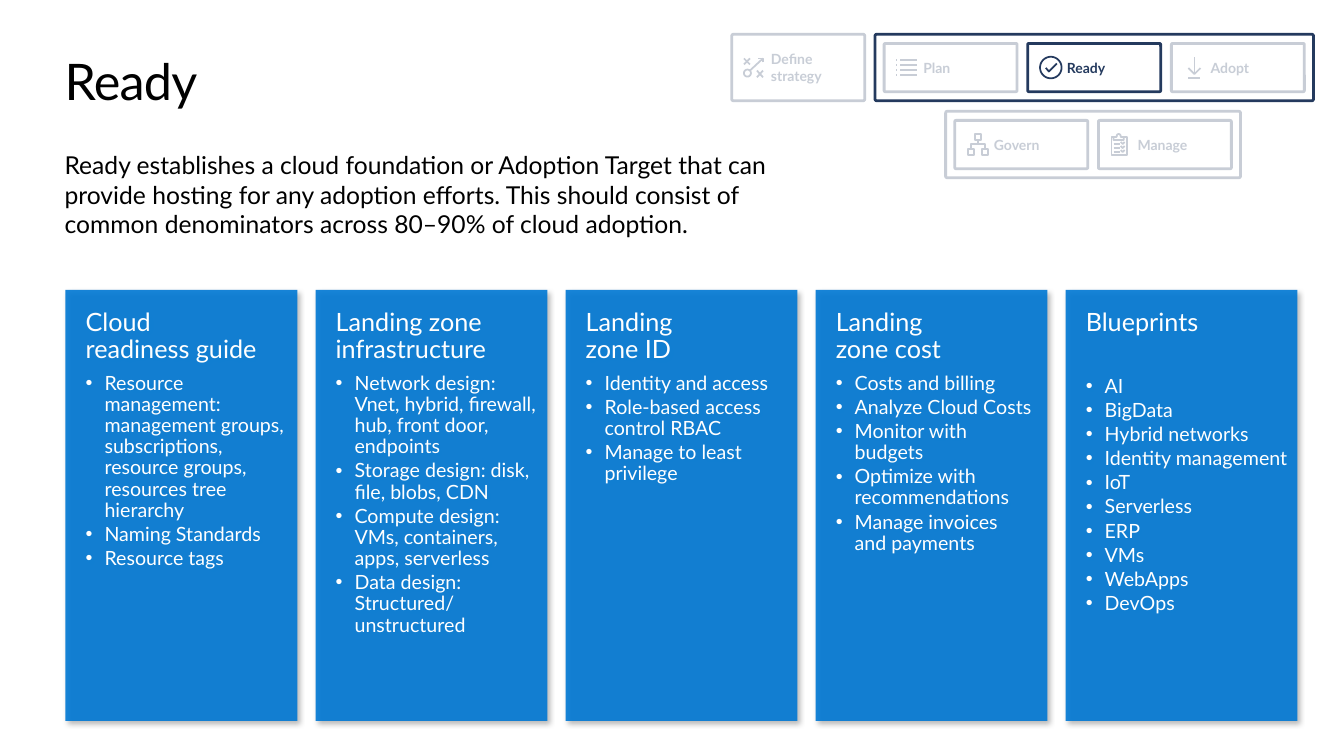
from dataclasses import dataclass
from math import cos, pi, sin

from lxml.etree import SubElement
from pptx import Presentation
from pptx.dml.color import RGBColor as Rgb
from pptx.enum.shapes import MSO_SHAPE as Preset
from pptx.enum.text import MSO_ANCHOR as Anchor, MSO_AUTO_SIZE as AutoSize, PP_ALIGN as Align
from pptx.oxml.ns import qn
from pptx.util import Pt


@dataclass(frozen=True)
class Theme:
    """Colours, font and type sizes of the slide."""
    font: str = "Lato"
    ink: str = "000000"
    paper: str = "FFFFFF"
    navy: str = "243A5E"
    blue: str = "0078D4"
    title: float = 36
    intro: float = 17.6
    heading: float = 18
    item: float = 14
    stage: float = 10


@dataclass(frozen=True)
class Box:
    """A rectangle in points."""
    left: float
    top: float
    width: float
    height: float

    def inset(self, by):
        """Return the box shrunk on every side."""
        return Box(self.left + by, self.top + by, self.width - 2 * by, self.height - 2 * by)

    def lengths(self):
        """Return the four lengths for a shape call."""
        return Pt(self.left), Pt(self.top), Pt(self.width), Pt(self.height)


THEME = Theme()
TILE_WIDTH, TILE_GAP, FRAME_PAD, FRAME_HEIGHT = 95, 7.6, 6.5, 47.5


def circle(x, y, radius):
    """Return the points of a closed circle."""
    return [(x + radius * cos(i * pi / 24), y + radius * sin(i * pi / 24)) for i in range(49)]


def square(left, top, right, bottom):
    """Return the points of a closed rectangle."""
    return [(left, top), (right, top), (right, bottom), (left, bottom), (left, top)]


ICONS = {
    "Define strategy": [
        [(-7.8, -6.5), (-3.5, -2.2)], [(-3.5, -6.5), (-7.8, -2.2)],
        [(1.5, 2.2), (5.8, 7)], [(5.8, 2.2), (1.5, 7)],
        circle(-5.3, 4, 2.5), [(-3.5, 2.2), (5.8, -6.5)],
        [(5.8, -3.6), (5.8, -6.5), (2.2, -6.5)]],
    "Plan": [[(x, y), (end, y)] for y in (-5.4, -1.8, 1.8, 5.4)
             for x, end in ((-5, 7.3), (-7.8, -7.1))],
    "Ready": [circle(0, 0, 7.7), [(-3.6, 0.2), (-1.4, 2.8), (4.3, -2.9)]],
    "Adopt": [[(-4.3, 0.4), (0, 4.7), (4.3, 0.4)], [(0, 4.7), (0, -7.6)],
              [(-4.3, 7.6), (4.3, 7.6)]],
    "Govern": [square(-7.2, 3.2, -2.9, 7.6), square(3.2, 3.2, 7.2, 7.6),
               square(-2.2, -7.6, 2.2, -3.2), [(0, -3.2), (0, -0.4)],
               [(-5, 3.2), (-5, -0.4), (5.2, -0.4), (5.2, 3.2)]],
    "Manage": [
        [(-3.5, -5.4), (-3.5, -6.1), (-3.1, -7.1), (-2.1, -7.6), (-1, -7.1), (-0.6, -6.1),
         (-0.6, -5.4), (1.5, -5.4), (1.5, -3.2), (-5.7, -3.2), (-5.7, -5.4), (-3.5, -5.4)],
        [(-5.7, -5.4), (-7.1, -5.4), (-7.1, 7.6), (3.7, 7.6), (3.7, -5.4), (1.5, -5.4)],
        *[stroke for y in (-0.4, 2.5, 5.4) for stroke in (
            [(-5.7, y), (-1.4, y)], [(-0.6, y - 1.4), (0.8, y), (2.2, y - 1.4)])]],
}

CARDS = [
    ("Cloud\vreadiness guide", 6.3, [
        "Resource management:\vmanagement groups, subscriptions, resource groups, "
        "resources tree hierarchy", "Naming Standards", "Resource tags"]),
    ("Landing zone infrastructure", 6.3, [
        "Network design: Vnet, hybrid, firewall, hub, front door, endpoints",
        "Storage design: disk, file, blobs, CDN",
        "Compute design: VMs, containers, apps, serverless",
        "Data design: Structured/ unstructured"]),
    ("Landing\vzone ID", 6.3, [
        "Identity and access", "Role-based access control RBAC", "Manage to least privilege"]),
    ("Landing\vzone cost", 6.3, [
        "Costs and billing", "Analyze Cloud Costs", "Monitor with budgets",
        "Optimize with recommendations", "Manage invoices\vand payments"]),
    ("Blueprints", 28, [
        "AI", "BigData", "Hybrid networks", "Identity management", "IoT", "Serverless",
        "ERP", "VMs", "WebApps", "DevOps"]),
]


def write(paragraph, text, size, color, bold=False):
    """Fill a left-aligned paragraph and set its font."""
    paragraph.text = text
    paragraph.alignment = Align.LEFT
    font = paragraph.font
    font.name, font.size, font.bold = THEME.font, Pt(size), bold
    font.color.rgb = Rgb.from_string(color)


def lay_out(frame, left, top, right, bottom, anchor=Anchor.TOP):
    """Set the margins, wrapping and anchor of a text frame."""
    frame.margin_left, frame.margin_top = Pt(left), Pt(top)
    frame.margin_right, frame.margin_bottom = Pt(right), Pt(bottom)
    frame.word_wrap, frame.auto_size, frame.vertical_anchor = True, AutoSize.NONE, anchor


def paint(shape, fill=None, alpha=100, line=None, width=2):
    """Give a shape a flat fill and outline without shadow."""
    shape.shadow.inherit = False
    if fill:
        shape.fill.solid()
        shape.fill.fore_color.rgb = Rgb.from_string(fill)
        color = shape.fill._xPr.find(qn("a:solidFill"))[0]
        SubElement(color, qn("a:alpha"), val=str(alpha * 1000))
    else:
        shape.fill.background()
    if line:
        shape.line.color.rgb = Rgb.from_string(line)
        shape.line.width = Pt(width)
    else:
        shape.line.fill.background()


def add_outline(shapes, box, fill=None):
    """Draw a navy box with slightly rounded corners."""
    outline = shapes.add_shape(Preset.ROUNDED_RECTANGLE, *box.lengths())
    outline.adjustments[0] = 0.025
    paint(outline, fill, line=THEME.navy)


def add_veil(slide, box):
    """Fade an inactive part of the journey."""
    veil = slide.shapes.add_shape(Preset.RECTANGLE, *box.inset(-3.6).lengths())
    paint(veil, THEME.paper, alpha=75)


def add_stage(slide, box, stage):
    """Draw one stage tile with its icon and label."""
    shapes = slide.shapes.add_group_shape().shapes
    add_outline(shapes, box, THEME.paper)
    label = shapes.add_textbox(*box.lengths()).text_frame
    lay_out(label, 28, 0, 0, 0, Anchor.MIDDLE)
    write(label.paragraphs[0], stage.replace(" ", "\v"), THEME.stage, THEME.navy, bold=True)
    x, y = box.left + 16.5, box.top + box.height / 2
    strokes = [[(Pt(x + dx), Pt(y + dy)) for dx, dy in stroke] for stroke in ICONS[stage]]
    builder = shapes.build_freeform(*strokes[0][0])
    for stroke in strokes:
        builder.move_to(*stroke[0])
        builder.add_line_segments(stroke[1:], close=False)
    paint(builder.convert_to_shape(), line=THEME.navy, width=1.25)


def add_stage_frame(slide, left, top, stages):
    """Draw a frame around a row of stages and return its box and tiles."""
    pitch = TILE_WIDTH + TILE_GAP
    frame = Box(left, top, len(stages) * pitch - TILE_GAP + 2 * FRAME_PAD, FRAME_HEIGHT)
    add_outline(slide.shapes, frame)
    tiles = {stage: Box(left + FRAME_PAD + i * pitch, top + FRAME_PAD, TILE_WIDTH,
                        FRAME_HEIGHT - 2 * FRAME_PAD) for i, stage in enumerate(stages)}
    for stage, tile in tiles.items():
        add_stage(slide, tile, stage)
    return frame, tiles


def add_journey(slide, left, top):
    """Draw the adoption journey with only Ready in full colour."""
    strategy = Box(left, top, TILE_WIDTH, FRAME_HEIGHT)
    add_stage(slide, strategy, "Define strategy")
    _, tiles = add_stage_frame(slide, left + 102.3, top, ["Plan", "Ready", "Adopt"])
    upkeep, _ = add_stage_frame(slide, left + 152.8, top + 55, ["Govern", "Manage"])
    for faded in (strategy, upkeep, tiles["Plan"], tiles["Adopt"]):
        add_veil(slide, faded)


def add_card(slide, box, heading, heading_gap, items):
    """Draw one blue card with a heading and bullets."""
    card = slide.shapes.add_shape(Preset.RECTANGLE, *box.lengths())
    paint(card, THEME.blue, alpha=90)
    effects = card._element.spPr.find(qn("a:effectLst"))
    shadow = SubElement(effects, qn("a:outerShdw"), blurRad=str(Pt(4)), dist=str(Pt(3)),
                        dir="2700000", algn="tl", rotWithShape="0")
    SubElement(SubElement(shadow, qn("a:srgbClr"), val=THEME.ink), qn("a:alpha"), val="30000")
    frame = card.text_frame
    lay_out(frame, 14.4, 14.4, 6.5, 0)
    title = frame.paragraphs[0]
    write(title, heading, THEME.heading, THEME.paper)
    title.line_spacing, title.space_after = 0.9, Pt(heading_gap)
    for item in items:
        bullet = frame.add_paragraph()
        properties = bullet._p.get_or_add_pPr()
        properties.set("marL", str(Pt(13.5)))
        properties.set("indent", str(Pt(-13.5)))
        SubElement(properties, qn("a:buFont"), typeface="Arial")
        SubElement(properties, qn("a:buChar"), char="•")
        write(bullet, item, THEME.item, THEME.paper)
        bullet.line_spacing, bullet.space_after = 0.9, Pt(2.1)


def add_opening(slide, box):
    """Place the title and the introduction below it."""
    title = slide.shapes.title
    title.left, title.top, title.width, title.height = Box(box.left, box.top, box.width, 44).lengths()
    lay_out(title.text_frame, 0, 0, 0, 0)
    name = title.text_frame.paragraphs[0]
    write(name, "Ready", THEME.title, THEME.ink)
    name._p.pPr.find(qn("a:defRPr")).set("spc", "-50")
    intro = slide.shapes.add_textbox(*Box(box.left, box.top + 67.7, 525, 72.7).lengths()).text_frame
    lay_out(intro, 0, 3.6, 7.2, 3.6)
    write(intro.paragraphs[0], "Ready establishes a cloud foundation or Adoption Target that can "
          "provide hosting for any adoption efforts. This should consist of common denominators "
          "across 80–90% of cloud adoption.", THEME.intro, THEME.ink)


def main():
    """Build and save the slide."""
    deck = Presentation()
    deck.slide_width, deck.slide_height = Pt(960), Pt(540)
    slide = deck.slides.add_slide(deck.slide_layouts[5])
    for i, card in enumerate(CARDS):
        add_card(slide, Box(46.8 + i * 178.6, 207, 165.6, 308), *card)
    add_opening(slide, Box(46.1, 36, 867.6, 140))
    add_journey(slide, 522.7, 24.5)
    deck.save("out.pptx")


if __name__ == "__main__":
    main()
